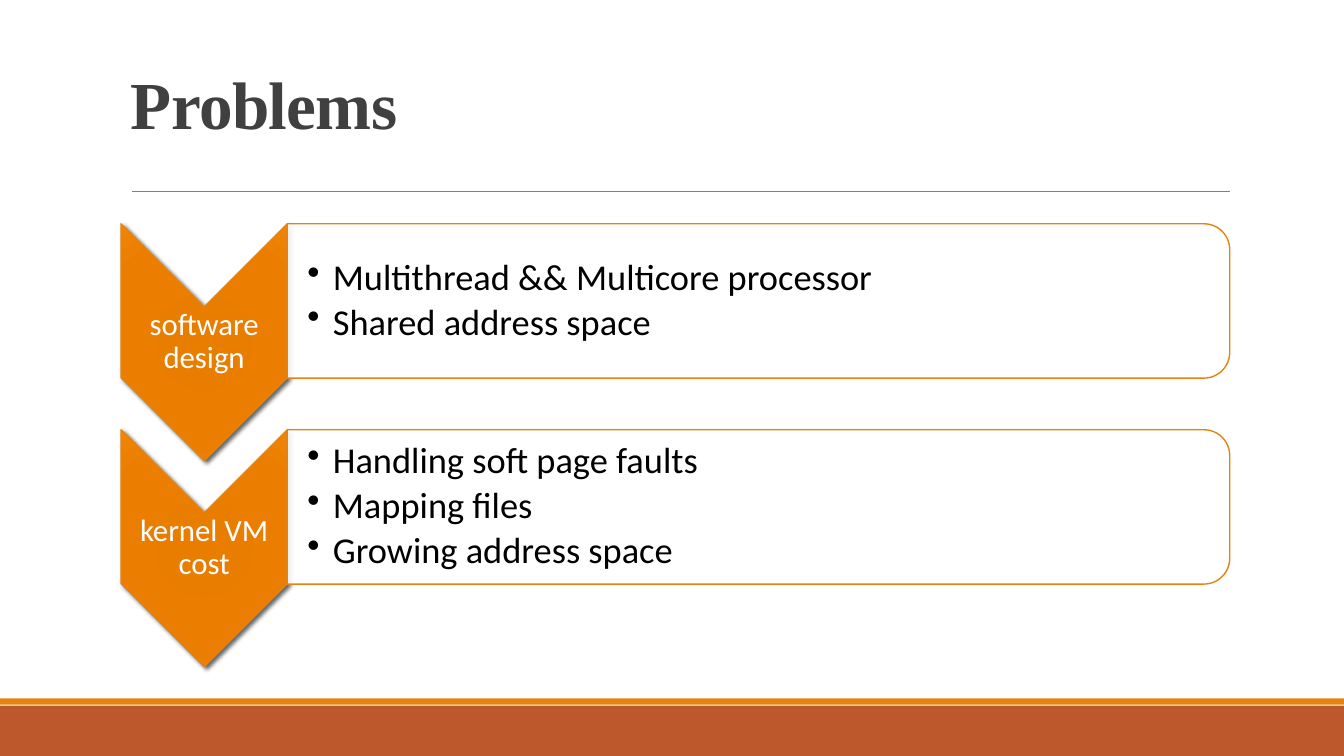
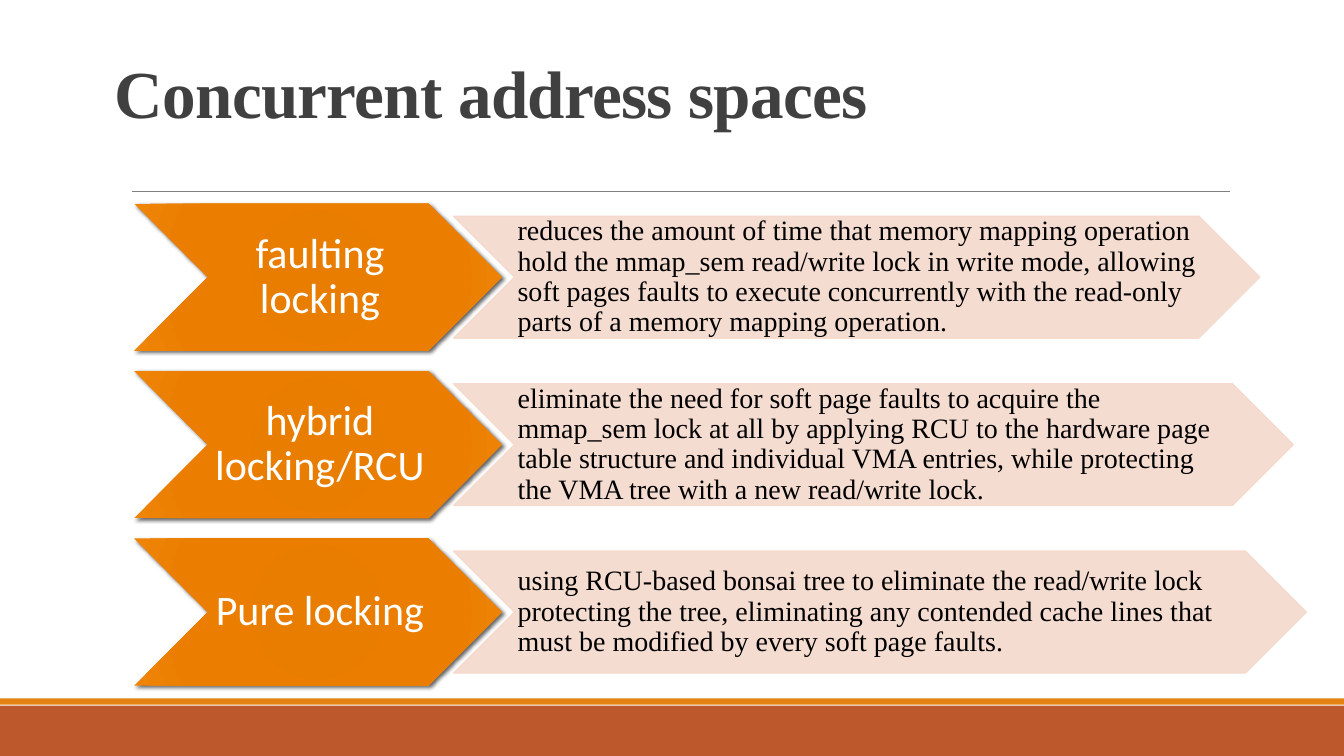
from dataclasses import dataclass
from typing import Optional

from lxml import etree
from pptx import Presentation
from pptx.dml.color import RGBColor
from pptx.enum.shapes import MSO_CONNECTOR, MSO_SHAPE
from pptx.enum.text import MSO_ANCHOR, PP_ALIGN
from pptx.oxml.ns import qn
from pptx.shapes.autoshape import Shape
from pptx.slide import Slide
from pptx.text.text import TextFrame
from pptx.util import Cm, Pt

RECTANGLE = MSO_SHAPE.RECTANGLE
CHEVRON = MSO_SHAPE.CHEVRON
ROUNDED_END = MSO_SHAPE.ROUND_2_SAME_RECTANGLE
STRAIGHT = MSO_CONNECTOR.STRAIGHT
MIDDLE, BOTTOM = MSO_ANCHOR.MIDDLE, MSO_ANCHOR.BOTTOM
LEFT, CENTER = PP_ALIGN.LEFT, PP_ALIGN.CENTER


@dataclass(frozen=True)
class Theme:
    band: str = "BD582C"
    accent: str = "E48312"
    rule: str = "808080"
    title: str = "404040"
    text: str = "000000"
    paper: str = "FFFFFF"
    tint: str = "F5D9CC"
    glow: tuple = ((0, "E57B00"), (34, "E87D00"), (70, "EB7E00"), (100, "EF8407"))
    sans: str = "Calibri"
    serif: str = "Times New Roman"
    title_size: int = 48
    stage_size: int = 30
    bullet_size: int = 26
    label_size: int = 22
    detail_size: int = 20


THEME = Theme()
SLIDE_WIDTH, SLIDE_HEIGHT = 33.87, 19.05


@dataclass(frozen=True)
class Box:
    left: float
    top: float
    width: float
    height: float

    def lengths(self) -> tuple:
        return Cm(self.left), Cm(self.top), Cm(self.width), Cm(self.height)

    def turned(self) -> "Box":
        shift = (self.width - self.height) / 2
        return Box(self.left + shift, self.top - shift, self.height, self.width)


@dataclass(frozen=True)
class TextStyle:
    font: str
    size: int
    color: str
    align: PP_ALIGN = LEFT
    anchor: MSO_ANCHOR = MIDDLE
    line_spacing: float = 0.9
    space_after: float = 0
    bold: bool = False
    tracking: int = 0
    bulleted: bool = False
    insets: tuple = (0.05, 0.05, 0.05, 0.05)


@dataclass(frozen=True)
class Problem:
    label: str
    points: tuple


@dataclass(frozen=True)
class Stage:
    name: str
    detail: str
    detail_width: float


TITLE = TextStyle(THEME.serif, THEME.title_size, THEME.title, anchor=BOTTOM,
                  line_spacing=0.85, bold=True, tracking=-50,
                  insets=(0.25, 0.13, 0.25, 0.13))
LABEL = TextStyle(THEME.sans, THEME.label_size, THEME.paper, align=CENTER)
POINTS = TextStyle(THEME.sans, THEME.bullet_size, THEME.text, space_after=4,
                   bulleted=True, insets=(0.51, 0.05, 0.05, 0.05))
STAGE = TextStyle(THEME.sans, THEME.stage_size, THEME.paper, align=CENTER,
                  insets=(0.1, 0.05, 0, 0.05))
DETAIL = TextStyle(THEME.serif, THEME.detail_size, THEME.text,
                   insets=(0.08, 0.03, 0, 0.03))

PROBLEMS = (
    Problem("software design",
            ("Multithread && Multicore processor", "Shared address space")),
    Problem("kernel VM cost",
            ("Handling soft page faults", "Mapping files", "Growing address space")),
)
STAGES = (
    Stage("faulting locking",
          "reduces the amount of time that memory mapping operation hold the "
          "mmap_sem read/write lock in write mode, allowing soft pages faults to "
          "execute concurrently with the read-only parts of a memory mapping "
          "operation.", 20.32),
    Stage("hybrid locking/RCU",
          "eliminate the need for soft page faults to acquire the mmap_sem lock at "
          "all by applying RCU to the hardware page table structure and individual "
          "VMA entries, while protecting the VMA tree with a new read/write lock.",
          21.16),
    Stage("Pure locking",
          "using RCU-based bonsai tree to eliminate the read/write lock protecting "
          "the tree, eliminating any contended cache lines that must be modified by "
          "every soft page faults.", 21.49),
)


def add_node(parent, tag: str, **attributes):
    return etree.SubElement(parent, qn(tag),
                            {key: str(value) for key, value in attributes.items()})


def apply(target, values: dict) -> None:
    for attribute, value in values.items():
        setattr(target, attribute, value)


def write(frame: TextFrame, lines: tuple, style: TextStyle) -> None:
    left, top, right, bottom = (Cm(inset) for inset in style.insets)
    apply(frame, {"word_wrap": True, "vertical_anchor": style.anchor,
                  "margin_left": left, "margin_top": top,
                  "margin_right": right, "margin_bottom": bottom})
    for index, line in enumerate(lines):
        paragraph = frame.add_paragraph() if index else frame.paragraphs[0]
        if style.bulleted:
            properties = paragraph._p.get_or_add_pPr()
            properties.set("marL", str(Cm(0.64)))
            properties.set("indent", str(-Cm(0.64)))
            add_node(properties, "a:buChar", char="•")
        apply(paragraph, {"alignment": style.align,
                          "line_spacing": style.line_spacing,
                          "space_after": Pt(style.space_after)})
        run = paragraph.add_run()
        run.text = line
        apply(run.font, {"name": style.font, "size": Pt(style.size),
                         "bold": style.bold})
        run.font.color.rgb = RGBColor.from_string(style.color)
        if style.tracking:
            run.font._element.set("spc", str(style.tracking))


def add_text(slide: Slide, box: Box, lines: tuple, style: TextStyle) -> None:
    write(slide.shapes.add_textbox(*box.lengths()).text_frame, lines, style)


def add_filled(slide: Slide, kind: MSO_SHAPE, box: Box, fill: str,
               line: Optional[str] = None, turned: bool = False) -> Shape:
    placed = box.turned() if turned else box
    shape = slide.shapes.add_shape(kind, *placed.lengths())
    shape.rotation = 90 if turned else 0
    shape.shadow.inherit = False
    shape.fill.solid()
    shape.fill.fore_color.rgb = RGBColor.from_string(fill)
    if line:
        shape.line.color.rgb = RGBColor.from_string(line)
        shape.line.width = Pt(1)
    else:
        shape.line.fill.background()
    return shape


def soften(fill_parent) -> None:
    color = fill_parent.find(qn("a:solidFill")).find(qn("a:srgbClr"))
    add_node(color, "a:alpha", val=90000)


def add_glowing_chevron(slide: Slide, box: Box, line: Optional[str] = None,
                        turned: bool = False) -> Shape:
    chevron = add_filled(slide, CHEVRON, box, THEME.accent, line, turned)
    properties = chevron._element.spPr
    gradient = etree.Element(qn("a:gradFill"), rotWithShape="1")
    stops = add_node(gradient, "a:gsLst")
    for position, color in THEME.glow:
        stop = add_node(stops, "a:gs", pos=position * 1000)
        add_node(stop, "a:srgbClr", val=color)
    circle = add_node(gradient, "a:path", path="circle")
    add_node(circle, "a:fillToRect", l=100000, t=100000, r=100000, b=100000)
    properties.replace(properties.find(qn("a:solidFill")), gradient)
    shadow = add_node(properties.find(qn("a:effectLst")), "a:outerShdw",
                      blurRad=Pt(3), dist=Pt(2), dir=45 * 60000, rotWithShape=0)
    add_node(add_node(shadow, "a:srgbClr", val="000000"), "a:alpha", val=60000)
    return chevron


def start_slide(deck: Presentation, title: str, title_left: float,
                title_top: float) -> Slide:
    slide = deck.slides.add_slide(deck.slide_layouts[6])
    add_filled(slide, RECTANGLE, Box(0, 17.78, SLIDE_WIDTH, 1.27), THEME.band)
    add_filled(slide, RECTANGLE, Box(0, 17.6, SLIDE_WIDTH, 0.16), THEME.accent)
    rule = slide.shapes.add_connector(STRAIGHT, Cm(3.33), Cm(4.83), Cm(31), Cm(4.83))
    rule.line.color.rgb = RGBColor.from_string(THEME.rule)
    rule.line.width = Pt(0.5)
    add_node(rule._element.spPr, "a:effectLst")
    add_text(slide, Box(title_left, title_top, 27.94, 2.62), (title,), TITLE)
    return slide


def draw_problem(slide: Slide, problem: Problem, top: float) -> None:
    arrow = Box(3.05, top, 4.19, 5.97)
    label_height = 1.8
    add_glowing_chevron(slide, arrow, THEME.accent, turned=True)
    add_text(slide, Box(arrow.left, top + (arrow.height - label_height) / 2,
                        arrow.width, label_height), (problem.label,), LABEL)
    panel = Box(arrow.left + arrow.width, top, 23.75, 3.89)
    outline = add_filled(slide, ROUNDED_END, panel, THEME.paper, THEME.accent,
                         turned=True)
    soften(outline._element.spPr)
    add_text(slide, panel, problem.points, POINTS)


def draw_stage(slide: Slide, stage: Stage, top: float) -> None:
    arrow = Box(3.38, top, 9.27, 3.71)
    chevron = add_glowing_chevron(slide, arrow)
    write(chevron.text_frame, (stage.name,), STAGE)
    detail_height = 3.07
    detail = add_filled(
        slide, CHEVRON, Box(11.43, top + (arrow.height - detail_height) / 2,
                            stage.detail_width, detail_height),
        THEME.tint, THEME.tint)
    soften(detail._element.spPr)
    soften(detail._element.spPr.find(qn("a:ln")))
    write(detail.text_frame, (stage.detail,), DETAIL)


def main() -> None:
    deck = Presentation()
    deck.slide_width, deck.slide_height = Cm(SLIDE_WIDTH), Cm(SLIDE_HEIGHT)
    problems = start_slide(deck, "Problems", 3.05, 1.12)
    for row, problem in enumerate(PROBLEMS):
        draw_problem(problems, problem, 5.64 + row * 5.19)
    spaces = start_slide(deck, "Concurrent address spaces", 2.64, 0.84)
    for row, stage in enumerate(STAGES):
        draw_stage(spaces, stage, 5.13 + row * 4.22)
    deck.save("out.pptx")


if __name__ == "__main__":
    main()
